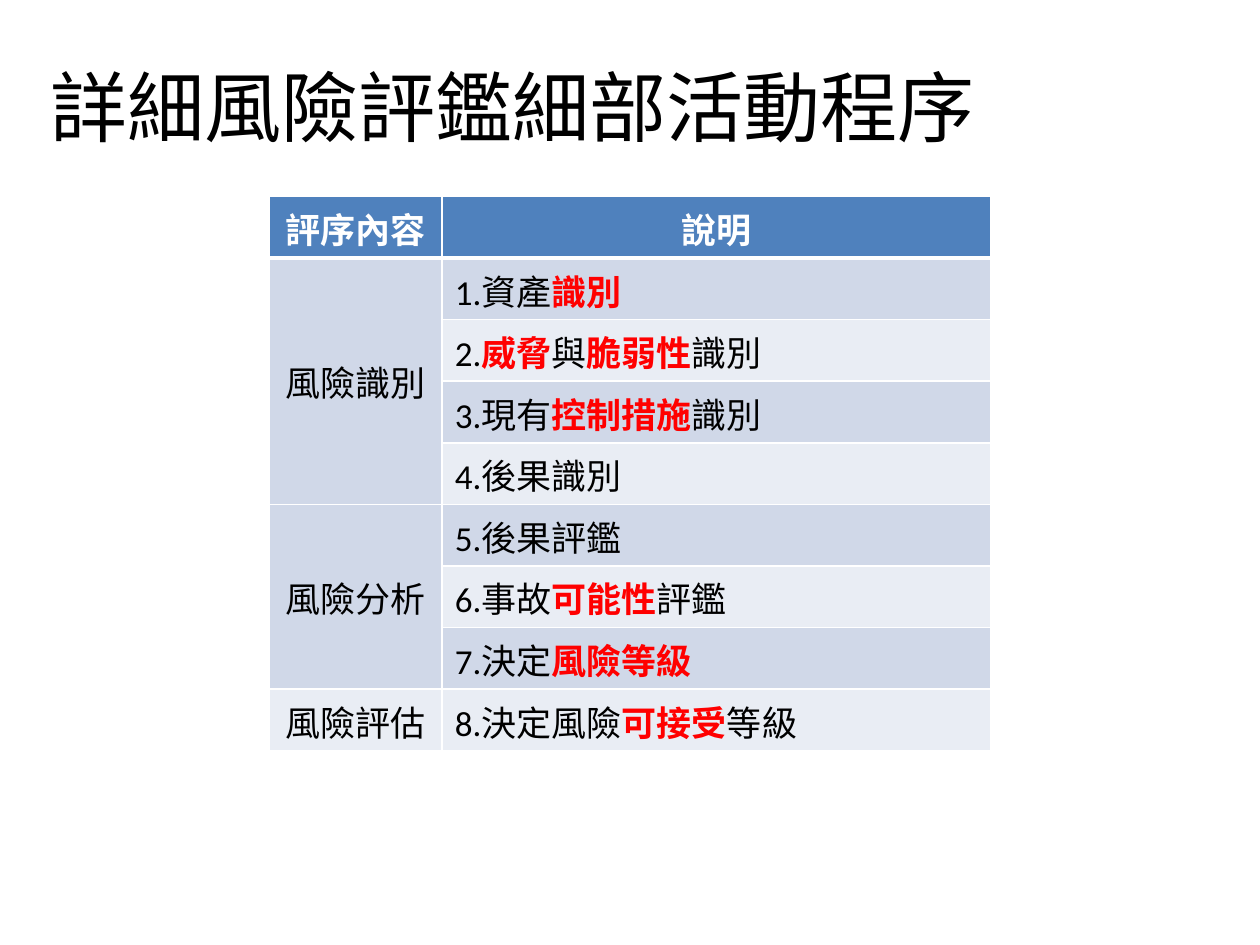
import dataclasses

import lxml.etree
import pptx
import pptx.dml.color
import pptx.enum.text
import pptx.oxml.ns
import pptx.util

ALIGN = pptx.enum.text.PP_ALIGN
ANCHOR = pptx.enum.text.MSO_ANCHOR


@dataclasses.dataclass(frozen=True)
class Theme:
    font: str = "Calibri"
    title_size: int = 44
    cell_size: int = 20
    text: str = "000000"
    key_term: str = "FF0000"
    white: str = "FFFFFF"
    header: str = "4F81BD"
    bands: tuple = ("D0D8E8", "E9EDF4")
    border: int = 1
    header_rule: int = 3


THEME = Theme()
SLIDE_WIDTH, SLIDE_HEIGHT = 10, 7.5
TITLE = "詳細風險評鑑細部活動程序"
HEADERS = ("評序內容", "說明")
# Key terms stand between asterisks.
STAGES = (
    ("風險識別", ("1.資產*識別*", "2.*威脅*與*脆弱性*識別", "3.現有*控制措施*識別", "4.後果識別")),
    ("風險分析", ("5.後果評鑑", "6.事故*可能性*評鑑", "7.決定*風險等級*")),
    ("風險評估", ("8.決定風險*可接受*等級",)),
)


def rgb(code):
    return pptx.dml.color.RGBColor.from_string(code)


def add_run(paragraph, text, size, color, bold=False):
    run = paragraph.add_run()
    run.text = text
    run.font.name = THEME.font
    run.font.size = pptx.util.Pt(size)
    run.font.bold = bold
    run.font.color.rgb = rgb(color)


def add_title(slide):
    box = slide.shapes.add_textbox(
        *(pptx.util.Inches(length) for length in (0.29, 0.21, 7.57, 1.25)))
    frame = box.text_frame
    frame.word_wrap = True
    frame.vertical_anchor = ANCHOR.MIDDLE
    paragraph = frame.paragraphs[0]
    paragraph.alignment = ALIGN.CENTER
    add_run(paragraph, TITLE, THEME.title_size, THEME.text)


def set_borders(cell, top, bottom):
    properties = cell._tc.get_or_add_tcPr()
    widths = {"a:lnL": THEME.border, "a:lnR": THEME.border, "a:lnT": top, "a:lnB": bottom}
    for tag, width in widths.items():
        line = lxml.etree.SubElement(
            properties, pptx.oxml.ns.qn(tag), w=str(pptx.util.Pt(width)))
        fill = lxml.etree.SubElement(line, pptx.oxml.ns.qn("a:solidFill"))
        lxml.etree.SubElement(fill, pptx.oxml.ns.qn("a:srgbClr"), val=THEME.white)


def style_cell(cell, row):
    """Give a cell its borders and the fill of its row."""
    set_borders(cell,
                THEME.header_rule if row == 1 else THEME.border,
                THEME.header_rule if row == 0 else THEME.border)
    cell.fill.solid()
    cell.fill.fore_color.rgb = rgb(THEME.bands[(row - 1) % 2] if row else THEME.header)


def write_centred(cell, text, color, bold=False):
    cell.vertical_anchor = ANCHOR.MIDDLE
    paragraph = cell.text_frame.paragraphs[0]
    paragraph.alignment = ALIGN.CENTER
    add_run(paragraph, text, THEME.cell_size, color, bold)


def write_step(cell, step):
    """Write a step, with its key terms bold and red."""
    paragraph = cell.text_frame.paragraphs[0]
    for index, part in enumerate(step.split("*")):
        is_key = index % 2 == 1
        if part:
            add_run(paragraph, part, THEME.cell_size,
                    THEME.key_term if is_key else THEME.text, is_key)


def add_stage_table(slide):
    row_count = 1 + sum(len(steps) for _, steps in STAGES)
    column_widths = (1.37, 4.35)
    width = sum(column_widths)
    frame = slide.shapes.add_table(
        row_count, len(HEADERS), pptx.util.Inches((SLIDE_WIDTH - width) / 2),
        pptx.util.Inches(1.56), pptx.util.Inches(width), pptx.util.Inches(4.4))
    table = frame.table
    for column, column_width in zip(table.columns, column_widths):
        column.width = pptx.util.Inches(column_width)
    for row in range(row_count):
        for column in range(len(HEADERS)):
            style_cell(table.cell(row, column), row)

    for column, header in enumerate(HEADERS):
        write_centred(table.cell(0, column), header, THEME.white, bold=True)
    first = 1
    for stage, steps in STAGES:
        stage_cell = table.cell(first, 0)
        if len(steps) > 1:
            stage_cell.merge(table.cell(first + len(steps) - 1, 0))
        write_centred(stage_cell, stage, THEME.text)
        for row, step in enumerate(steps, first):
            write_step(table.cell(row, 1), step)
        first += len(steps)


def main():
    presentation = pptx.Presentation()
    presentation.slide_width = pptx.util.Inches(SLIDE_WIDTH)
    presentation.slide_height = pptx.util.Inches(SLIDE_HEIGHT)
    slide = presentation.slides.add_slide(presentation.slide_layouts[6])
    add_title(slide)
    add_stage_table(slide)
    presentation.save("out.pptx")


if __name__ == "__main__":
    main()
